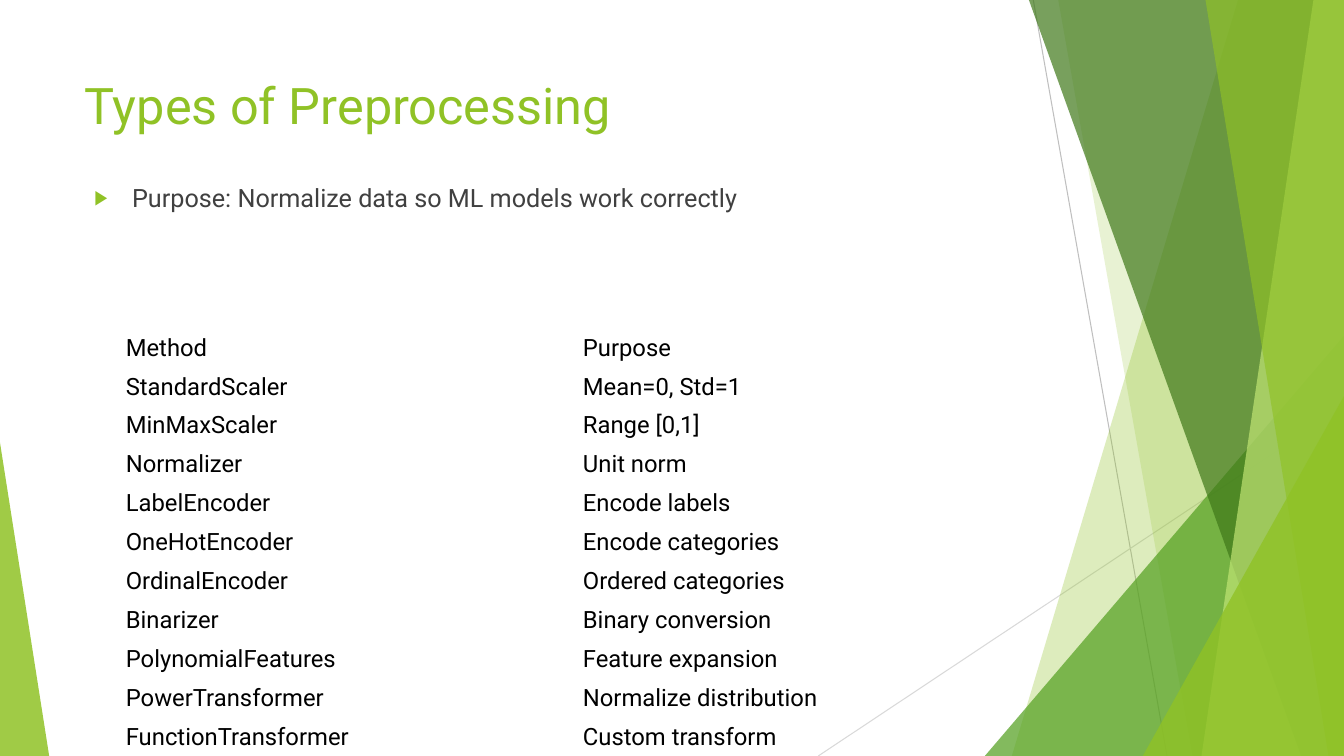
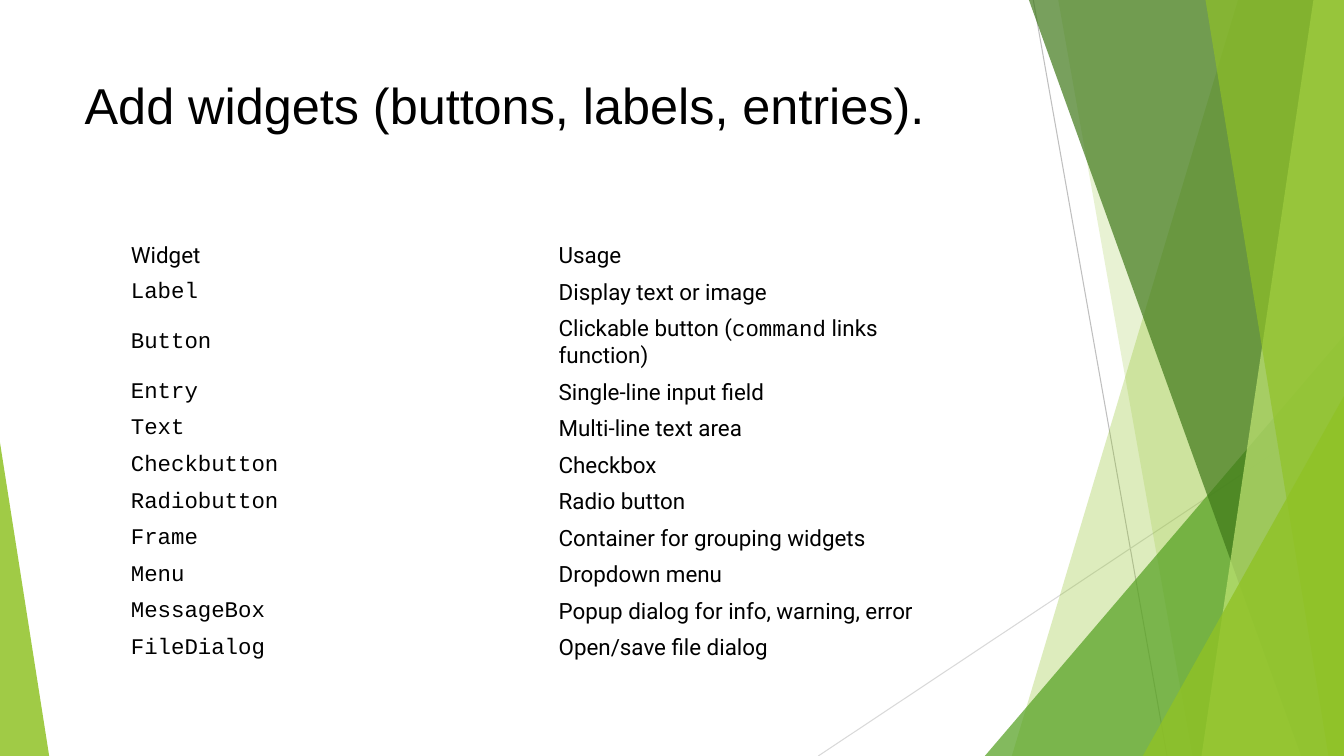
"""Build two slides that list preprocessing methods and GUI widgets in tables."""
from dataclasses import dataclass

from lxml.etree import SubElement
from pptx import Presentation
from pptx.dml.color import RGBColor as RGB
from pptx.enum.shapes import MSO_CONNECTOR as CONN, MSO_SHAPE as SHAPE
from pptx.enum.text import MSO_ANCHOR as ANCHOR, MSO_AUTO_SIZE as AUTO, PP_ALIGN as ALIGN
from pptx.oxml.ns import qn
from pptx.util import Cm, Pt


@dataclass(frozen=True)
class Theme:
    lime: str = "90C226"
    pale: str = "C0E474"
    green: str = "54A021"
    forest: str = "3F7819"
    grey: str = "404040"
    black: str = "000000"
    line_dark: str = "BFBFBF"
    line_light: str = "D9D9D9"
    font: str = "Roboto"
    title_font: str = "Arial"
    code_font: str = "Courier New"
    title: int = 36
    body: int = 18
    hairline: float = 0.75


T = Theme()
W, H = 33.87, 19.05
NO_STYLE = "{2D5ABB26-0587-4C30-8999-92F81FD0307C}"


def write(tf, text, size=T.body, color=T.black, font=T.font):
    """Fill a text frame; pieces between backticks take the code font."""
    tf.word_wrap = True
    p = tf.paragraphs[0]
    p.alignment = ALIGN.LEFT
    for i, piece in enumerate(text.split("`")):
        if piece:
            r = p.add_run()
            r.text = piece
            r.font.size = Pt(size)
            r.font.name = T.code_font if i % 2 else font
            r.font.color.rgb = RGB.from_string(color)
    return p


def paint(sp, color, alpha):
    """Give a shape a see-through fill with no outline or shadow."""
    sp.fill.solid()
    sp.fill.fore_color.rgb = RGB.from_string(color)
    SubElement(sp.element.xpath("./p:spPr//a:srgbClr")[0], qn("a:alpha"), val=str(alpha * 1000))
    sp.line.fill.background()
    sp.shadow.inherit = False


lines = [
    (26.04, 0, 29.41, H, T.line_dark),
    (W, 10.24, 20.62, H, T.line_light),
]
facets = [
    ("band", (31.2, 25.5), T.lime, 30),
    ("band", (26.67, 30.05), T.lime, 20),
    ("triangle", (24.82, 8.46, W - 24.82, 1), T.green, 72),
    ("band", (25.93, 32.79), T.forest, 70),
    ("band", (33.1, 30.28), T.pale, 70),
    ("band", (30.38, 33.48), T.lime, 65),
    ("triangle", (28.8, 9.98, W - 28.8, 1), T.lime, 80),
    ("triangle", (0, 11.15, 1.24, 0), T.lime, 85),
]
methods = [
    ("Method", "Purpose"),
    ("StandardScaler", "Mean=0, Std=1"),
    ("MinMaxScaler", "Range [0,1]"),
    ("Normalizer", "Unit norm"),
    ("LabelEncoder", "Encode labels"),
    ("OneHotEncoder", "Encode categories"),
    ("OrdinalEncoder", "Ordered categories"),
    ("Binarizer", "Binary conversion"),
    ("PolynomialFeatures", "Feature expansion"),
    ("PowerTransformer", "Normalize distribution"),
    ("FunctionTransformer", "Custom transform"),
]
widgets = [
    ("Widget", "Usage"),
    ("`Label`", "Display text or image"),
    ("`Button`", "Clickable button (`command` links function)"),
    ("`Entry`", "Single-line input field"),
    ("`Text`", "Multi-line text area"),
    ("`Checkbutton`", "Checkbox"),
    ("`Radiobutton`", "Radio button"),
    ("`Frame`", "Container for grouping widgets"),
    ("`Menu`", "Dropdown menu"),
    ("`MessageBox`", "Popup dialog for info, warning, error"),
    ("`FileDialog`", "Open/save file dialog"),
]
pages = [
    dict(title="Types of Preprocessing", color=T.lime, font=T.font,
         bullet="Purpose: Normalize data so ML models work correctly",
         rows=methods, left=2.92, top=8.28, col=11.52, row=0.98, size=17, tall={}),
    dict(title="Add widgets (buttons, labels, entries).", color=T.black, font=T.title_font,
         bullet=None,
         rows=widgets, left=3.05, top=5.99, col=10.78, row=0.92, size=16, tall={2: 1.6}),
]

prs = Presentation()
prs.slide_width, prs.slide_height = Cm(W), Cm(H)
layout = prs.slide_layouts.get_by_name("Title Only")
for ph in list(layout.placeholders)[1:]:
    layout.shapes.element.remove(ph.element)
slides = [prs.slides.add_slide(layout) for _ in pages]

shapes = slides[0].shapes
decor = []
for x1, y1, x2, y2, color in lines:
    c = shapes.add_connector(CONN.STRAIGHT, Cm(x1), Cm(y1), Cm(x2), Cm(y2))
    c.line.color.rgb = RGB.from_string(color)
    c.line.width = Pt(T.hairline)
    SubElement(c.element.spPr, qn("a:effectLst"))
    decor.append(c)
for kind, place, color, alpha in facets:
    if kind == "band":
        x_top, x_bottom = place
        outline = shapes.build_freeform(Cm(x_top), 0)
        outline.add_line_segments([(Cm(W), 0), (Cm(W), Cm(H)), (Cm(x_bottom), Cm(H))], close=True)
        sp = outline.convert_to_shape()
    else:
        x, y, width, apex = place
        sp = shapes.add_shape(SHAPE.ISOSCELES_TRIANGLE, Cm(x), Cm(y), Cm(width), Cm(H - y))
        sp.adjustments[0] = apex
    paint(sp, color, alpha)
    decor.append(sp)
for sp in decor:
    layout.shapes.element.append(sp.element)

for s, page in zip(slides, pages):
    sp = s.shapes.title
    sp.left, sp.top, sp.width, sp.height = Cm(1.88), Cm(1.7), Cm(23.88), Cm(1.88)
    tf = sp.text_frame
    tf.auto_size = AUTO.NONE
    tf.vertical_anchor = ANCHOR.MIDDLE
    write(tf, page["title"], size=T.title, color=page["color"], font=page["font"])

    if page["bullet"]:
        sp = s.shapes.add_textbox(Cm(2.13), Cm(4.47), Cm(23.62), Cm(1.2))
        p = write(sp.text_frame, page["bullet"], color=T.grey)
        pPr = p._p.get_or_add_pPr()
        pPr.set("marL", str(Cm(0.95)))
        pPr.set("indent", str(-Cm(0.95)))
        SubElement(SubElement(pPr, qn("a:buClr")), qn("a:srgbClr"), val=T.lime)
        SubElement(pPr, qn("a:buSzPct"), val="80000")
        SubElement(pPr, qn("a:buFont"), typeface=T.title_font)
        SubElement(pPr, qn("a:buChar"), char="▶")

    rows = page["rows"]
    heights = [page["tall"].get(i, page["row"]) for i in range(len(rows))]
    frame = s.shapes.add_table(len(rows), 2, Cm(page["left"]), Cm(page["top"]),
                               Cm(2 * page["col"]), Cm(sum(heights)))
    frame.element.xpath(".//a:tableStyleId")[0].text = NO_STYLE
    table = frame.table
    table.first_row = table.horz_banding = False
    for column in table.columns:
        column.width = Cm(page["col"])
    for i, (texts, height) in enumerate(zip(rows, heights)):
        table.rows[i].height = Cm(height)
        for j, text in enumerate(texts):
            cell = table.cell(i, j)
            cell.fill.background()
            cell.vertical_anchor = ANCHOR.MIDDLE
            cell.margin_left = cell.margin_right = Cm(0.25)
            cell.margin_top = cell.margin_bottom = Cm(0.12)
            write(cell.text_frame, text, size=page["size"])

prs.save("out.pptx")
